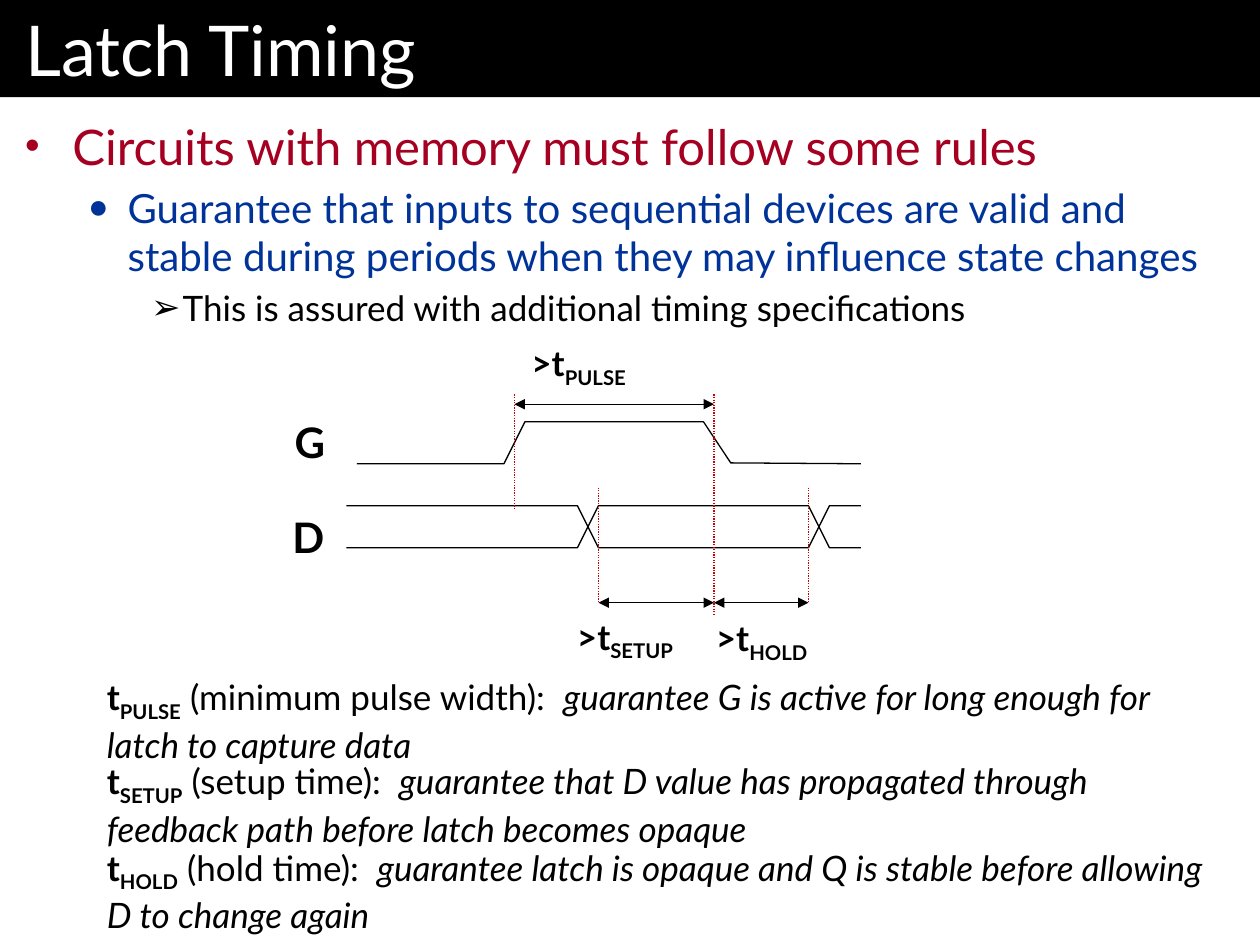
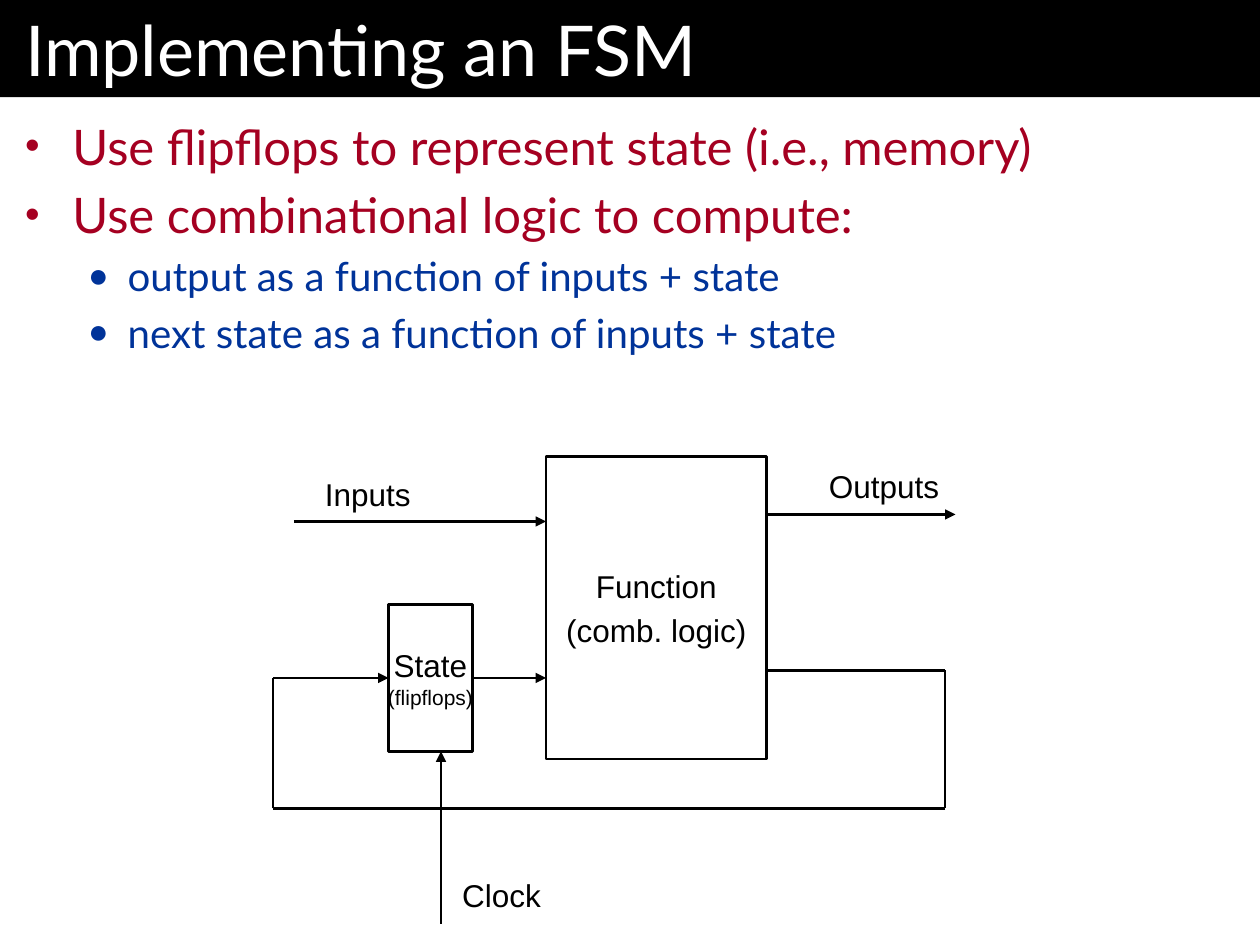
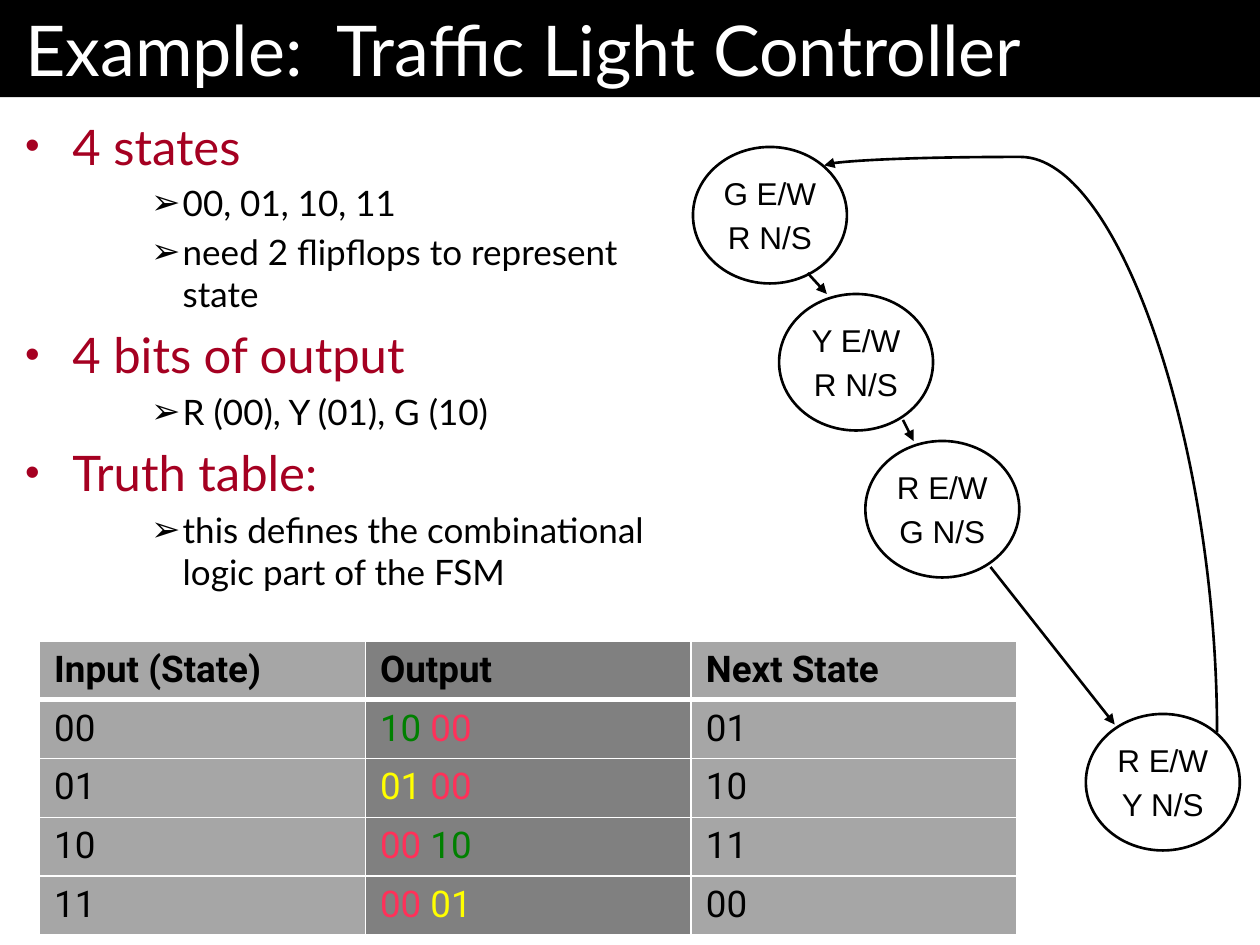
"""Build three lecture slides on latch timing and finite state machines."""
from dataclasses import dataclass

from lxml import etree
from pptx import Presentation
from pptx.dml.color import RGBColor
from pptx.enum import dml, shapes, text
from pptx.oxml import ns
from pptx.util import Pt


@dataclass(frozen=True)
class Theme:
    """Colours, fonts and type sizes of the deck."""
    black: str = "000000"
    white: str = "FFFFFF"
    guide: str = "CC0000"
    crimson: str = "A50021"
    navy: str = "003399"
    light_gray: str = "A6A6A6"
    dark_gray: str = "808080"
    green: str = "008000"
    yellow: str = "FFFF00"
    red: str = "FF3059"
    heading_font: str = "Lato"
    diagram_font: str = "Arial"
    table_font: str = "Roboto"
    title_size: int = 40
    signal_size: int = 24
    note_size: int = 20
    diagram_size: int = 18
    small_size: int = 12
    table_size: int = 21

    def level(self, number):
        """Return size, colour, bullet, bullet percent, margin and hang of a list level."""
        return (
            (28, self.crimson, "•", 85, 27, 27),
            (23, self.navy, "●", 85, 58.5, 22.5),
            (20, self.black, "➢", 100, 90, 18),
        )[number]


THEME = Theme()
BAND_HEIGHT = 55.5


def color(value):
    """Turn a hex string into a colour."""
    return RGBColor.from_string(value)


def child(parent, tag, **attributes):
    """Append a DrawingML element and return it."""
    return etree.SubElement(parent, ns.qn(tag), attributes)


def add_text(paragraph, content, size=THEME.note_size, font=THEME.heading_font,
             ink=THEME.black, bold=False, italic=False, subscript=False):
    """Append one formatted run to a paragraph."""
    run = paragraph.add_run()
    run.text = content
    run.font.size = Pt(size)
    run.font.name = font
    run.font.bold = bold
    run.font.italic = italic
    run.font.color.rgb = color(ink)
    if subscript:
        run._r.get_or_add_rPr().set("baseline", "-25000")


def add_symbol(paragraph, prefix, name):
    """Append a timing symbol with its subscript."""
    add_text(paragraph, prefix, bold=True)
    add_text(paragraph, name, bold=True, subscript=True)


def next_paragraph(frame, index):
    """Return the first paragraph of a frame or a new one."""
    return frame.paragraphs[0] if index == 0 else frame.add_paragraph()


class Deck:
    """Hold the presentation and the slide being drawn."""

    def __init__(self):
        self.presentation = Presentation()
        self.presentation.slide_width = Pt(720)
        self.presentation.slide_height = Pt(540)
        self.slide = None

    def place(self, shape, left, top, width, height):
        """Move and size a shape in points."""
        shape.left, shape.top = Pt(left), Pt(top)
        shape.width, shape.height = Pt(width), Pt(height)

    def frame(self, shape, horizontal, vertical, anchor):
        """Set the insets and anchor of a text frame and return it."""
        frame = shape.text_frame
        frame.margin_left = frame.margin_right = Pt(horizontal)
        frame.margin_top = frame.margin_bottom = Pt(vertical)
        frame.vertical_anchor = anchor
        frame.auto_size = text.MSO_AUTO_SIZE.NONE
        frame.word_wrap = True
        return frame

    def add_slide(self, title, items, width=720, height=484.5):
        """Start a slide with its title band and bullet list."""
        self.slide = self.presentation.slides.add_slide(self.presentation.slide_layouts[1])
        band, body = self.slide.placeholders
        self.place(band, 0, 0, 720, BAND_HEIGHT)
        band.fill.solid()
        band.fill.fore_color.rgb = color(THEME.black)
        heading = self.frame(band, 14.4, 3.6, text.MSO_ANCHOR.MIDDLE).paragraphs[0]
        heading.alignment = text.PP_ALIGN.LEFT
        add_text(heading, title, size=THEME.title_size, ink=THEME.white)
        self.place(body, 0, BAND_HEIGHT, width, height)
        frame = self.frame(body, 14.4, 10.8, text.MSO_ANCHOR.TOP)
        for index, (level, content) in enumerate(items):
            self.bullet(next_paragraph(frame, index), level, content)

    def bullet(self, paragraph, level, content):
        """Fill one list paragraph."""
        size, ink, mark, percent, margin, hang = THEME.level(level)
        paragraph.level = level
        paragraph.space_before = Pt(size * 0.2)
        properties = paragraph._p.get_or_add_pPr()
        properties.set("marL", str(Pt(margin)))
        properties.set("indent", str(-Pt(hang)))
        child(child(properties, "a:buClr"), "a:srgbClr", val=ink)
        child(properties, "a:buSzPct", val=str(percent * 1000))
        child(properties, "a:buFont", typeface=THEME.diagram_font)
        child(properties, "a:buChar", char=mark)
        add_text(paragraph, content, size=size, ink=ink)

    def label(self, left, top, width, height, wrap=False):
        """Add a text box and return its paragraph."""
        box = self.slide.shapes.add_textbox(Pt(left), Pt(top), Pt(width), Pt(height))
        box.text_frame.word_wrap = wrap
        box.text_frame.auto_size = text.MSO_AUTO_SIZE.SHAPE_TO_FIT_TEXT
        return box.text_frame.paragraphs[0]

    def outline(self, shape, weight):
        """Give a shape a black outline without fill or shadow."""
        shape.shadow.inherit = False
        shape.fill.background()
        shape.line.color.rgb = color(THEME.black)
        shape.line.width = Pt(weight)

    def node(self, kind, left, top, width, height, lines=()):
        """Add an outlined shape with centred lines of text."""
        shape = self.slide.shapes.add_shape(kind, Pt(left), Pt(top), Pt(width), Pt(height))
        self.outline(shape, 1.5)
        shape.text_frame.word_wrap = False
        shape.text_frame.vertical_anchor = text.MSO_ANCHOR.MIDDLE
        for index, content in enumerate(lines):
            paragraph = next_paragraph(shape.text_frame, index)
            paragraph.alignment = text.PP_ALIGN.CENTER
            paragraph.space_before = Pt(THEME.diagram_size * 0.2)
            add_text(paragraph, content, size=THEME.diagram_size, font=THEME.diagram_font)
        return shape

    def trace(self, points):
        """Draw an open signal trace."""
        start, *rest = [(Pt(x), Pt(y)) for x, y in points]
        builder = self.slide.shapes.build_freeform(*start)
        builder.add_line_segments(rest, close=False)
        self.outline(builder.convert_to_shape(), 0.75)

    def line(self, begin, end, weight=1.5, ink=THEME.black, dotted=False,
             head=False, tail=False, kind=shapes.MSO_CONNECTOR.STRAIGHT):
        """Draw a connector with optional arrowheads."""
        connector = self.slide.shapes.add_connector(kind, *map(Pt, (*begin, *end)))
        connector.line.color.rgb = color(ink)
        connector.line.width = Pt(weight)
        if dotted:
            connector.line.dash_style = dml.MSO_LINE.ROUND_DOT
        stroke = connector.line._get_or_add_ln()
        for shown, tag in ((head, "a:headEnd"), (tail, "a:tailEnd")):
            if shown:
                child(stroke, tag, type="triangle")
        child(connector._element.spPr, "a:effectLst")
        return connector

    def return_curve(self, begin, end, bend):
        """Draw a curved arrow that leaves upward and turns back to the left."""
        center_x, center_y = (begin[0] + end[0]) / 2, (begin[1] + end[1]) / 2
        half_run, half_rise = (begin[0] - end[0]) / 2, (begin[1] - end[1]) / 2
        connector = self.line((center_x + half_rise, center_y - half_run),
                              (center_x - half_rise, center_y + half_run),
                              tail=True, kind=shapes.MSO_CONNECTOR.CURVE)
        properties = connector._element.spPr
        properties.find(ns.qn("a:xfrm")).set("rot", "5400000")
        adjustments = properties.find(ns.qn("a:prstGeom")).find(ns.qn("a:avLst"))
        child(adjustments, "a:gd", name="adj1", fmla=f"val {bend}")

    def table(self, left, top, column_width, row_height, rows):
        """Add a table whose cells are lists of text and colour pairs."""
        columns = len(rows[0])
        table = self.slide.shapes.add_table(
            len(rows), columns, Pt(left), Pt(top),
            Pt(column_width * columns), Pt(row_height * len(rows))).table
        for row_index, row in enumerate(rows):
            for column_index, runs in enumerate(row):
                cell = table.cell(row_index, column_index)
                self.borders(cell, 3 if row_index == 1 else 1, 3 if row_index == 0 else 1)
                cell.fill.solid()
                cell.fill.fore_color.rgb = color(
                    THEME.dark_gray if column_index == 1 else THEME.light_gray)
                cell.margin_left = cell.margin_right = Pt(8.4)
                cell.margin_top = cell.margin_bottom = Pt(4.2)
                for content, ink in runs:
                    add_text(cell.text_frame.paragraphs[0], content, size=THEME.table_size,
                             font=THEME.table_font, ink=ink, bold=row_index == 0)

    def borders(self, cell, above, below):
        """Give a cell white borders."""
        properties = cell._tc.get_or_add_tcPr()
        for tag, weight in (("a:lnL", 1), ("a:lnR", 1), ("a:lnT", above), ("a:lnB", below)):
            border = child(properties, tag, w=str(Pt(weight)))
            child(child(border, "a:solidFill"), "a:srgbClr", val=THEME.white)


def latch_timing(deck):
    """Draw the timing diagram slide."""
    deck.add_slide("Latch Timing", [
        (0, "Circuits with memory must follow some rules"),
        (1, "Guarantee that inputs to sequential devices are valid and stable "
            "during periods when they may influence state changes"),
        (2, "This is assured with additional timing specifications"),
    ])
    for name, left, top in (("G", 161.3, 234.7), ("D", 160, 288.7)):
        add_text(deck.label(left, top, 33, 36.7), name, size=THEME.signal_size, bold=True)

    deck.trace([(204, 265), (288, 265), (300, 241), (402, 241), (417.6, 264.5), (492, 265)])
    high, low = 289, 313
    for first, second in ((low, high), (high, low)):
        deck.trace([(198, first), (330, first), (342, second),
                    (462, second), (474, first), (492, first)])

    rise, valid, fall, change = 294, 342, 408, 462
    for x, top, bottom in ((fall, 225.4, 351), (rise, 225.4, 291),
                           (valid, 278.6, 344.4), (change, 278.6, 344.4)):
        deck.line((x, top), (x, bottom), weight=0.75, ink=THEME.guide, dotted=True)
    for begin, end, y in ((rise, fall, 231), (valid, fall, 344.4), (fall, change, 344.4)):
        deck.line((begin, y), (end, y), weight=0.75, head=True, tail=True)

    timings = (
        ("PULSE", (296.6, 191.5, 84), 382.5, " (minimum pulse width):  ",
         "guarantee G is active for long enough for latch to capture data"),
        ("SETUP", (322.6, 348, 84), 430.5, " (setup time):  ",
         "guarantee that D value has propagated through feedback path "
         "before latch becomes opaque"),
        ("HOLD", (402, 349, 78), 480, " (hold time):  ",
         "guarantee latch is opaque and Q is stable before allowing D to change again"),
    )
    for name, label_place, note_top, meaning, purpose in timings:
        add_symbol(deck.label(*label_place, 31.7), ">t", name)
        note = deck.label(54, note_top, 642, 55.4, wrap=True)
        add_symbol(note, "t", name)
        add_text(note, meaning)
        add_text(note, purpose, italic=True)


def implementing_fsm(deck):
    """Draw the state machine block diagram slide."""
    deck.add_slide("Implementing an FSM", [
        (0, "Use flipflops to represent state (i.e., memory)"),
        (0, "Use combinational logic to compute:"),
        (1, "output as a function of inputs + state"),
        (1, "next state as a function of inputs + state"),
    ], height=178)
    rectangle = shapes.MSO_SHAPE.RECTANGLE
    state = deck.node(rectangle, 222, 345.4, 48, 84, ["State"])
    caption = state.text_frame.paragraphs[0]
    caption.add_line_break()
    add_text(caption, "(flipflops)", size=THEME.small_size, font=THEME.diagram_font)
    deck.node(rectangle, 312, 260.8, 126, 173, ["Function", "(comb. logic)"])

    deck.line((270, 387.4), (312, 387.4), tail=True).begin_connect(state, 3)
    feedback = [(438, 383), (540, 383), (540, 462), (156, 462), (156, 387.4)]
    for begin, end in zip(feedback, feedback[1:]):
        deck.line(begin, end)
    deck.line(feedback[-1], (222, 387.4), tail=True).end_connect(state, 1)

    signals = (
        ("Inputs", (178.6, 268, 68), (168, 298), (312, 298)),
        ("Outputs", (466.6, 263.5, 82), (438, 294), (546, 294)),
        ("Clock", (257, 497.3, 64), (252, 528), (252, 429.4)),
    )
    for name, label_place, begin, end in signals:
        deck.line(begin, end, tail=True)
        add_text(deck.label(*label_place, 22.3), name,
                 size=THEME.diagram_size, font=THEME.diagram_font)


def traffic_light(deck):
    """Draw the traffic light example slide."""
    deck.add_slide("Example:  Traffic Light Controller", [
        (0, "4 states"),
        (2, "00, 01, 10, 11"),
        (2, "need 2 flipflops to represent state"),
        (0, "4 bits of output"),
        (2, "R (00), Y (01), G (10)"),
        (0, "Truth table:"),
        (2, "this defines the combinational logic part of the FSM"),
    ], width=396)
    lights = (("G", "R", 396, 84), ("Y", "R", 445.2, 168),
              ("R", "G", 494.5, 252), ("R", "Y", 620.5, 408))
    for east_west, north_south, left, top in lights:
        deck.node(shapes.MSO_SHAPE.OVAL, left, top, 88, 78,
                  [f"{east_west} E/W", f"{north_south} N/S"])
    for begin, end in (((461.5, 156), (472.5, 168)), ((516, 240), (522, 252)),
                       ((566, 324), (637, 414))):
        deck.line(begin, end, tail=True)
    deck.return_curve((695.5, 418.5), (471, 94.5), 101500)

    codes = {"R": ("00", THEME.red), "Y": ("01", THEME.yellow), "G": ("10", THEME.green)}
    rows = [[[(name, THEME.black)] for name in ("Input (State)", "Output", "Next State")]]
    for index, (east_west, north_south, *_) in enumerate(lights):
        code, ink = codes[east_west]
        rows.append([
            [(f"{index:02b}", THEME.black)],
            [(code + " ", ink), codes[north_south]],
            [(f"{(index + 1) % len(lights):02b}", THEME.black)],
        ])
    deck.table(22.6, 366.3, 186.2, 33.6, rows)


def main():
    """Build and save the deck."""
    deck = Deck()
    latch_timing(deck)
    implementing_fsm(deck)
    traffic_light(deck)
    deck.presentation.save("out.pptx")


if __name__ == "__main__":
    main()
